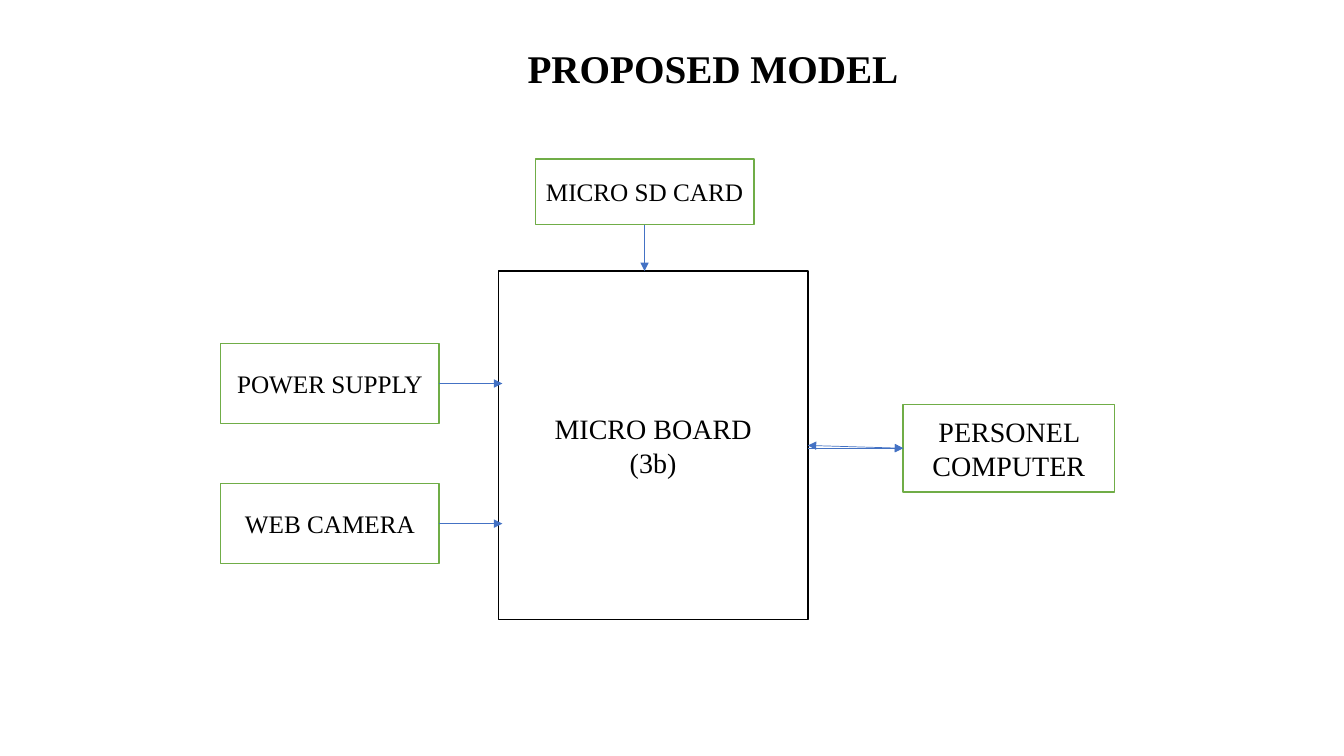
from lxml.etree import SubElement
from pptx import Presentation
from pptx.dml.color import RGBColor
from pptx.enum.shapes import MSO_CONNECTOR, MSO_SHAPE
from pptx.enum.text import MSO_ANCHOR, PP_ALIGN
from pptx.oxml.ns import qn
from pptx.util import Cm, Pt

BLACK = RGBColor(0x00, 0x00, 0x00)
WHITE = RGBColor(0xFF, 0xFF, 0xFF)
GREEN = RGBColor(0x70, 0xAD, 0x47)
BLUE = RGBColor(0x44, 0x72, 0xC4)
FONT = "Times New Roman"


def format_paragraph(paragraph, size, bold=False):
    """Centre a paragraph and set its font."""
    paragraph.alignment = PP_ALIGN.CENTER
    font_format = {"name": FONT, "size": Pt(size), "bold": bold}
    for attribute, value in font_format.items():
        setattr(paragraph.font, attribute, value)
    paragraph.font.color.rgb = BLACK


def place_title(slide, text, left, top, width, height):
    """Place the slide title in the given box, centred right of its middle."""
    title = slide.shapes.title
    box = {"left": left, "top": top, "width": width, "height": height}
    for attribute, value in box.items():
        setattr(title, attribute, value)
    frame = title.text_frame
    frame.text = text
    frame_format = {
        "margin_left": Cm(2.2),
        "vertical_anchor": MSO_ANCHOR.MIDDLE,
        "word_wrap": True,
    }
    for attribute, value in frame_format.items():
        setattr(frame, attribute, value)
    frame.paragraphs[0].line_spacing = 0.9
    format_paragraph(frame.paragraphs[0], 28, bold=True)


def add_block(slide, text, size, line_color, left, top, width, height):
    """Add a labelled rectangle of the diagram and return it."""
    block = slide.shapes.add_shape(MSO_SHAPE.RECTANGLE, left, top, width, height)
    block.shadow.inherit = False
    block.fill.solid()
    block.fill.fore_color.rgb = WHITE
    block.line.color.rgb = line_color
    block.line.width = Pt(1)
    frame = block.text_frame
    frame.text = text
    frame.word_wrap = True
    frame.vertical_anchor = MSO_ANCHOR.MIDDLE
    for paragraph in frame.paragraphs:
        format_paragraph(paragraph, size)
    return block


def add_arrow(slide, start, end, both_ways=False):
    """Add a thin straight arrow between two points."""
    arrow = slide.shapes.add_connector(MSO_CONNECTOR.STRAIGHT, *start, *end)
    arrow.line.color.rgb = BLUE
    arrow.line.width = Pt(0.5)
    line = arrow.line._get_or_add_ln()
    for tag in ["a:headEnd", "a:tailEnd"] if both_ways else ["a:tailEnd"]:
        SubElement(line, qn(tag), type="triangle")
    SubElement(arrow._element.spPr, qn("a:effectLst"))


def center_of(block):
    """Return the centre point of a block."""
    return block.left + block.width // 2, block.top + block.height // 2


def add_diagram(slide, left, top):
    """Draw the controller and its peripherals from the given corner."""
    controller = add_block(slide, "MICRO BOARD\n(3b)", 20, BLACK,
                           left + Cm(7), top + Cm(2.82), Cm(7.8), Cm(8.79))
    controller_right = controller.left + controller.width
    controller_middle = center_of(controller)[1]

    for row, label in enumerate(["POWER SUPPLY", "WEB CAMERA"]):
        source = add_block(slide, label, 18, GREEN, left,
                           top + Cm(4.65) + row * Cm(3.53), Cm(5.51), Cm(2.01))
        middle = center_of(source)[1]
        add_arrow(slide, (source.left + source.width, middle),
                  (controller.left + Cm(0.1), middle))

    card = add_block(slide, "MICRO SD CARD", 18, GREEN,
                     left + Cm(7.93), top, Cm(5.51), Cm(1.65))
    card_center = center_of(card)[0]
    add_arrow(slide, (card_center, card.top + card.height),
              (card_center, controller.top))

    computer = add_block(slide, "PERSONEL COMPUTER", 20, GREEN,
                         left + Cm(17.2), top + Cm(6.18), Cm(5.33), Cm(2.21))
    computer_middle = center_of(computer)[1]
    target = (computer.left, computer_middle)
    add_arrow(slide, (controller_right, computer_middle), target)
    add_arrow(slide, (controller_right, controller_middle), target, both_ways=True)


def main():
    """Build and save the slide."""
    presentation = Presentation()
    presentation.slide_width = Cm(33.87)
    presentation.slide_height = Cm(19.05)
    slide = presentation.slides.add_slide(presentation.slide_layouts[5])
    place_title(slide, "PROPOSED MODEL", Cm(2.44), Cm(0.28), Cm(29.11), Cm(3.02))
    add_diagram(slide, Cm(5.56), Cm(4.01))
    presentation.save("out.pptx")


if __name__ == "__main__":
    main()
